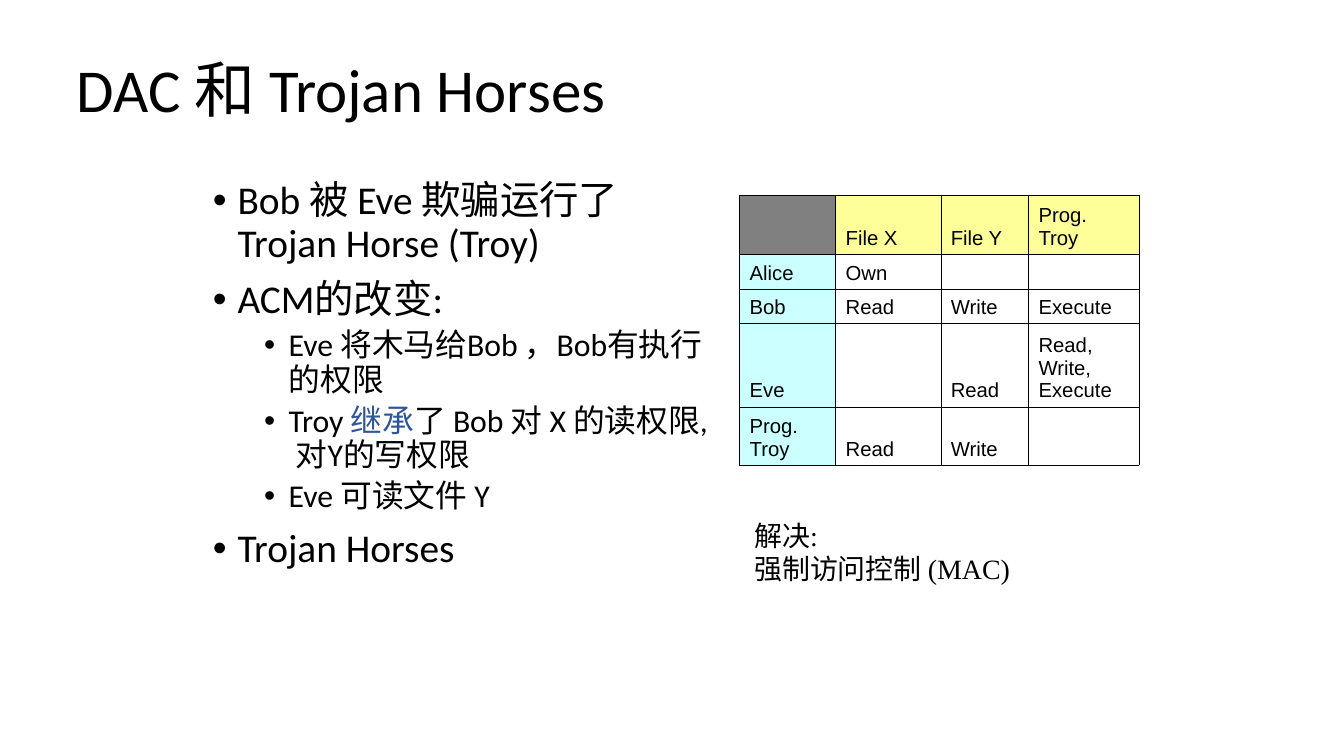
from dataclasses import dataclass
from typing import Any

from lxml import etree
from pptx import Presentation
from pptx.dml.color import RGBColor
from pptx.enum.text import MSO_ANCHOR, MSO_AUTO_SIZE, PP_ALIGN
from pptx.oxml.ns import qn
from pptx.util import Inches, Pt

TOP, MIDDLE, BOTTOM = MSO_ANCHOR.TOP, MSO_ANCHOR.MIDDLE, MSO_ANCHOR.BOTTOM
NO_FIT, GROW = MSO_AUTO_SIZE.NONE, MSO_AUTO_SIZE.SHAPE_TO_FIT_TEXT
LEFT = PP_ALIGN.LEFT

BLACK = RGBColor(0x00, 0x00, 0x00)
BLUE = RGBColor(0x2F, 0x55, 0x97)
GRAY = RGBColor(0x80, 0x80, 0x80)
YELLOW = RGBColor(0xFF, 0xFF, 0x99)
CYAN = RGBColor(0xCC, 0xFF, 0xFF)

SLIDE_WIDTH, SLIDE_HEIGHT = Inches(14.7), Inches(8.27)
COLUMN, ROW = SLIDE_WIDTH / 147, SLIDE_HEIGHT / 82.7
TITLE_ONLY = 5


@dataclass(frozen=True)
class Area:
    left: float
    top: float
    width: float
    height: float

    def place(self) -> dict[str, int]:
        return {
            "left": round(self.left * COLUMN),
            "top": round(self.top * ROW),
            "width": round(self.width * COLUMN),
            "height": round(self.height * ROW),
        }


@dataclass(frozen=True)
class Span:
    text: str
    color: RGBColor = BLACK


@dataclass(frozen=True)
class Bullet:
    level: int
    spans: tuple[Span, ...]


@dataclass(frozen=True)
class BulletLevel:
    size: float
    margin: float
    space_before: float


TITLE_AREA = Area(7.4, 3.3, 132.3, 13.8)
BULLET_AREA = Area(22.3, 19.3, 55.7, 63.4)
TABLE_AREA = Area(80.9, 21.4, 43.8, 29.5)
SOLUTION_AREA = Area(81.4, 56.1, 45, 8.4)

HANGING = 2.7
LEVELS = (BulletLevel(31, 2.7, 11), BulletLevel(25, 8.3, 5.5))
BULLETS = (
    Bullet(0, (Span("Bob 被 Eve 欺骗运行了 Trojan Horse (Troy)"),)),
    Bullet(0, (Span("ACM的改变:"),)),
    Bullet(1, (Span("Eve 将木马给Bob ，Bob有执行的权限"),)),
    Bullet(1, (Span("Troy "), Span("继承", BLUE), Span("了 Bob 对 X 的读权限, 对Y的写权限"))),
    Bullet(1, (Span("Eve 可读文件 Y"),)),
    Bullet(0, (Span("Trojan Horses"),)),
)
SOLUTION = ("解决:", "强制访问控制 (MAC)")

COLUMN_WIDTHS = (10.5, 11.5, 9.6, 12.1)
ROW_HEIGHTS = (6.4, 3.8, 3.8, 9.1, 6.4)
ACCESS_MATRIX = (
    ("", "File X", "File Y", "Prog. Troy"),
    ("Alice", "Own", "", ""),
    ("Bob", "Read", "Write", "Execute"),
    ("Eve", "", "Read", "Read, Write, Execute"),
    ("Prog. Troy", "Read", "Write", ""),
)
CELL_SIZE = 16
BORDER_WIDTH = Pt(0.45)
CELL_FORMAT = {
    "vertical_anchor": BOTTOM,
    "margin_left": Inches(0.11),
    "margin_right": Inches(0.11),
    "margin_top": Inches(0.05),
    "margin_bottom": Inches(0.05),
}


def apply(target: Any, values: dict[str, Any]) -> None:
    for name, value in values.items():
        setattr(target, name, value)


def add_span(para: Any, span: Span, font: str, size: float) -> None:
    run = para.add_run()
    run.text = span.text
    apply(run.font, {"name": font, "size": Pt(size)})
    run.font.color.rgb = span.color


def add_box(page: Any, area: Area, frame_format: dict[str, Any]) -> Any:
    box = page.shapes.add_textbox(**area.place())
    apply(box.text_frame, {"word_wrap": True, "vertical_anchor": TOP} | frame_format)
    return box.text_frame


def next_para(frame: Any, index: int) -> Any:
    return frame.add_paragraph() if index else frame.paragraphs[0]


def add_marker(para: Any, margin: float) -> None:
    properties = para._p.get_or_add_pPr()
    properties.set("marL", str(round(margin * COLUMN)))
    properties.set("indent", str(round(-HANGING * COLUMN)))
    marker_color = etree.SubElement(properties, qn("a:buClr"))
    etree.SubElement(marker_color, qn("a:srgbClr"), val=str(BLACK))
    etree.SubElement(properties, qn("a:buFont"), typeface="Arial")
    etree.SubElement(properties, qn("a:buChar"), char="•")


def draw_title(page: Any) -> None:
    title = page.shapes.title
    apply(title, TITLE_AREA.place())
    frame = title.text_frame
    apply(frame, {"word_wrap": True, "vertical_anchor": MIDDLE, "auto_size": NO_FIT})
    para = frame.paragraphs[0]
    apply(para, {"alignment": LEFT, "line_spacing": 0.9})
    add_span(para, Span("DAC 和 Trojan Horses"), "Calibri", 48)


def draw_bullets(page: Any) -> None:
    frame = add_box(page, BULLET_AREA, {"auto_size": NO_FIT})
    for index, bullet in enumerate(BULLETS):
        level = LEVELS[bullet.level]
        para = next_para(frame, index)
        add_marker(para, level.margin)
        space = Pt(level.space_before if index else 0)
        apply(para, {"level": bullet.level, "line_spacing": 0.9, "space_before": space})
        for span in bullet.spans:
            add_span(para, span, "Calibri", level.size)


def draw_borders(cell: Any) -> None:
    properties = cell._tc.get_or_add_tcPr()
    for side in ("lnL", "lnR", "lnT", "lnB"):
        line = etree.SubElement(properties, qn(f"a:{side}"), w=str(BORDER_WIDTH))
        fill = etree.SubElement(line, qn("a:solidFill"))
        etree.SubElement(fill, qn("a:srgbClr"), val=str(BLACK))


def fill_cell(cell: Any, row: int, column: int) -> None:
    if row and column:
        cell.fill.background()
        return
    cell.fill.solid()
    cell.fill.fore_color.rgb = CYAN if row else YELLOW if column else GRAY


def draw_matrix(page: Any) -> None:
    table = page.shapes.add_table(
        len(ROW_HEIGHTS), len(COLUMN_WIDTHS), **TABLE_AREA.place()
    ).table
    apply(table, {"first_row": False, "horz_banding": False})
    for column, width in zip(table.columns, COLUMN_WIDTHS):
        column.width = round(width * COLUMN)
    for row, height in zip(table.rows, ROW_HEIGHTS):
        row.height = round(height * ROW)
    for row, texts in enumerate(ACCESS_MATRIX):
        for column, text in enumerate(texts):
            cell = table.cell(row, column)
            apply(cell, CELL_FORMAT)
            draw_borders(cell)
            fill_cell(cell, row, column)
            para = cell.text_frame.paragraphs[0]
            if text:
                add_span(para, Span(text), "Arial", CELL_SIZE)
            else:
                etree.SubElement(para._p, qn("a:endParaRPr"), sz=str(CELL_SIZE * 100))


def draw_solution(page: Any) -> None:
    inset = {"margin_left": Inches(0.11), "margin_right": Inches(0.11),
             "margin_top": Inches(0.06), "margin_bottom": Inches(0.06)}
    frame = add_box(page, SOLUTION_AREA, {"auto_size": GROW} | inset)
    for index, text in enumerate(SOLUTION):
        add_span(next_para(frame, index), Span(text), "Times New Roman", 22)


def main() -> None:
    deck = Presentation()
    apply(deck, {"slide_width": SLIDE_WIDTH, "slide_height": SLIDE_HEIGHT})
    page = deck.slides.add_slide(deck.slide_layouts[TITLE_ONLY])
    for draw in (draw_title, draw_bullets, draw_matrix, draw_solution):
        draw(page)
    deck.save("out.pptx")


if __name__ == "__main__":
    main()
